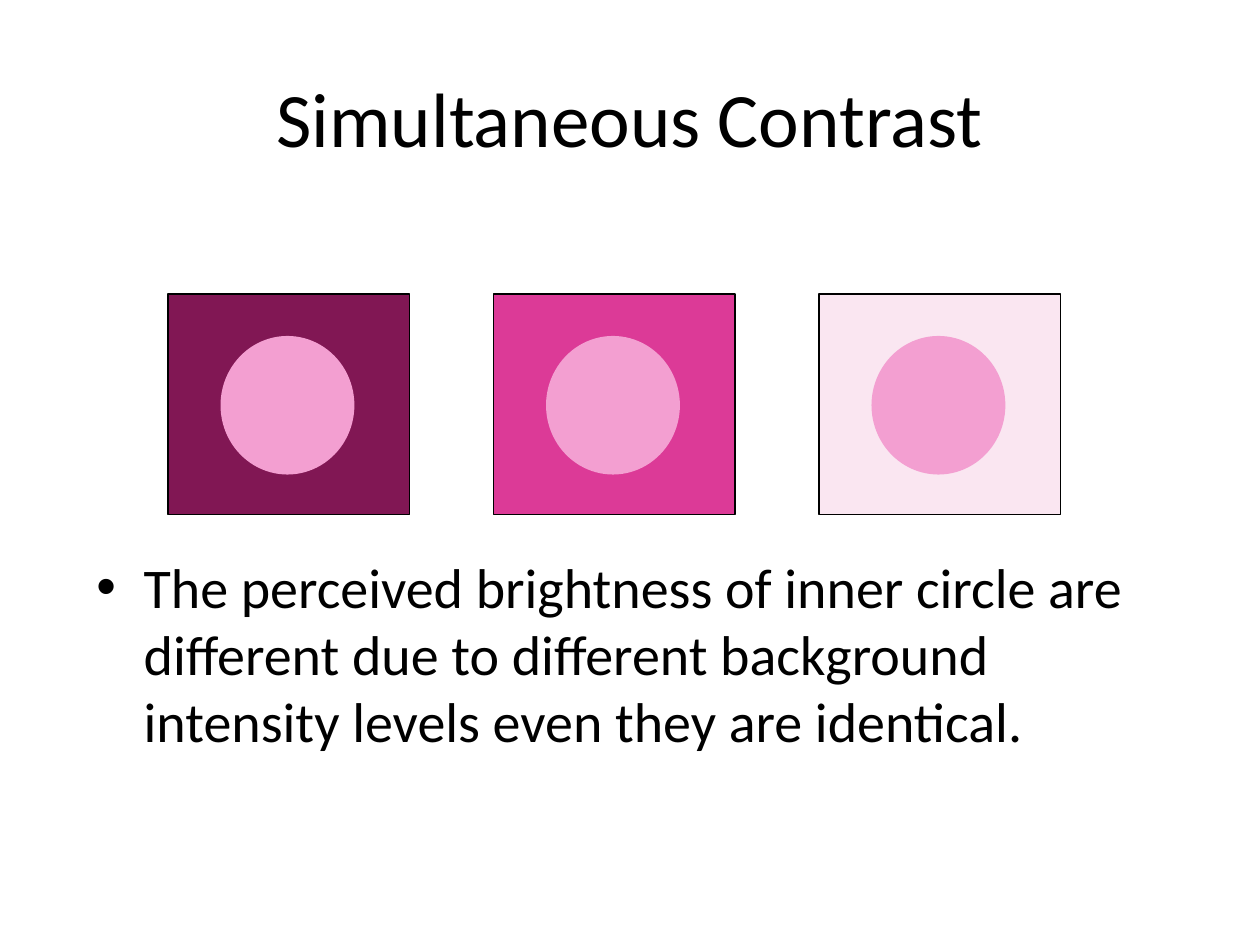
"""Build a slide on simultaneous contrast: equal circles on three backgrounds."""
from pptx import Presentation
from pptx.dml.color import RGBColor
from pptx.enum import shapes, text
from pptx.oxml import parse_xml
from pptx.oxml import ns
from pptx.util import Pt

BLACK = RGBColor(0x00, 0x00, 0x00)
CIRCLE_PINK = RGBColor(0xF3, 0x9F, 0xD1)
BACKGROUNDS = [
    RGBColor(0x81, 0x17, 0x54),
    RGBColor(0xDC, 0x3A, 0x97),
    RGBColor(0xFA, 0xE6, 0xF1),
]

TITLE = {
    "content": "Simultaneous Contrast",
    "box": (36, 21.6, 648, 90),
    "size": 44,
    "anchor": text.MSO_ANCHOR.MIDDLE,
    "align": text.PP_ALIGN.CENTER,
}
BODY = {
    "content": "The perceived brightness of inner circle are different due to "
               "different background intensity levels even they are identical.",
    "box": (48, 312, 618, 168),
    "size": 32,
    "anchor": text.MSO_ANCHOR.TOP,
    "align": text.PP_ALIGN.LEFT,
}
BULLET_INDENT = 27

SQUARE_LEFT, SQUARE_TOP = 96, 168
SQUARE_WIDTH, SQUARE_HEIGHT = 138, 126
SQUARE_STEP = 186
CIRCLE_OFFSET_X, CIRCLE_OFFSET_Y = 30, 24
CIRCLE_WIDTH, CIRCLE_HEIGHT = 76.5, 79.2


def add_text(slide, content, box, size, anchor, align):
    frame = slide.shapes.add_textbox(*map(Pt, box)).text_frame
    for name, value in {"word_wrap": True, "vertical_anchor": anchor}.items():
        setattr(frame, name, value)
    paragraph = frame.paragraphs[0]
    paragraph.alignment = align
    run = paragraph.add_run()
    run.text = content
    for name, value in {"name": "Calibri", "size": Pt(size)}.items():
        setattr(run.font, name, value)
    run.font.color.rgb = BLACK
    return paragraph


def add_bullet(paragraph):
    properties = paragraph._p.get_or_add_pPr()
    properties.set("marL", str(Pt(BULLET_INDENT)))
    properties.set("indent", str(-Pt(BULLET_INDENT)))
    for tag in ('buFont typeface="Arial"', 'buChar char="•"'):
        properties.append(parse_xml(f"<a:{tag} {ns.nsdecls('a')}/>"))


def add_figure(slide, kind, box, fill, outlined=False):
    shape = slide.shapes.add_shape(kind, *map(Pt, box))
    shape.shadow.inherit = False
    shape.fill.solid()
    shape.fill.fore_color.rgb = fill
    if outlined:
        shape.line.color.rgb = BLACK
        shape.line.width = Pt(1)
    else:
        shape.line.fill.background()


def main():
    presentation = Presentation()
    presentation.slide_width, presentation.slide_height = Pt(720), Pt(540)
    slide = presentation.slides.add_slide(presentation.slide_layouts[6])

    add_text(slide, **TITLE)
    add_bullet(add_text(slide, **BODY))

    for index, background in enumerate(BACKGROUNDS):
        left = SQUARE_LEFT + index * SQUARE_STEP
        square = (left, SQUARE_TOP, SQUARE_WIDTH, SQUARE_HEIGHT)
        circle = (left + CIRCLE_OFFSET_X, SQUARE_TOP + CIRCLE_OFFSET_Y,
                  CIRCLE_WIDTH, CIRCLE_HEIGHT)
        add_figure(slide, shapes.MSO_SHAPE.RECTANGLE, square, background, True)
        add_figure(slide, shapes.MSO_SHAPE.OVAL, circle, CIRCLE_PINK)

    presentation.save("out.pptx")


if __name__ == "__main__":
    main()
